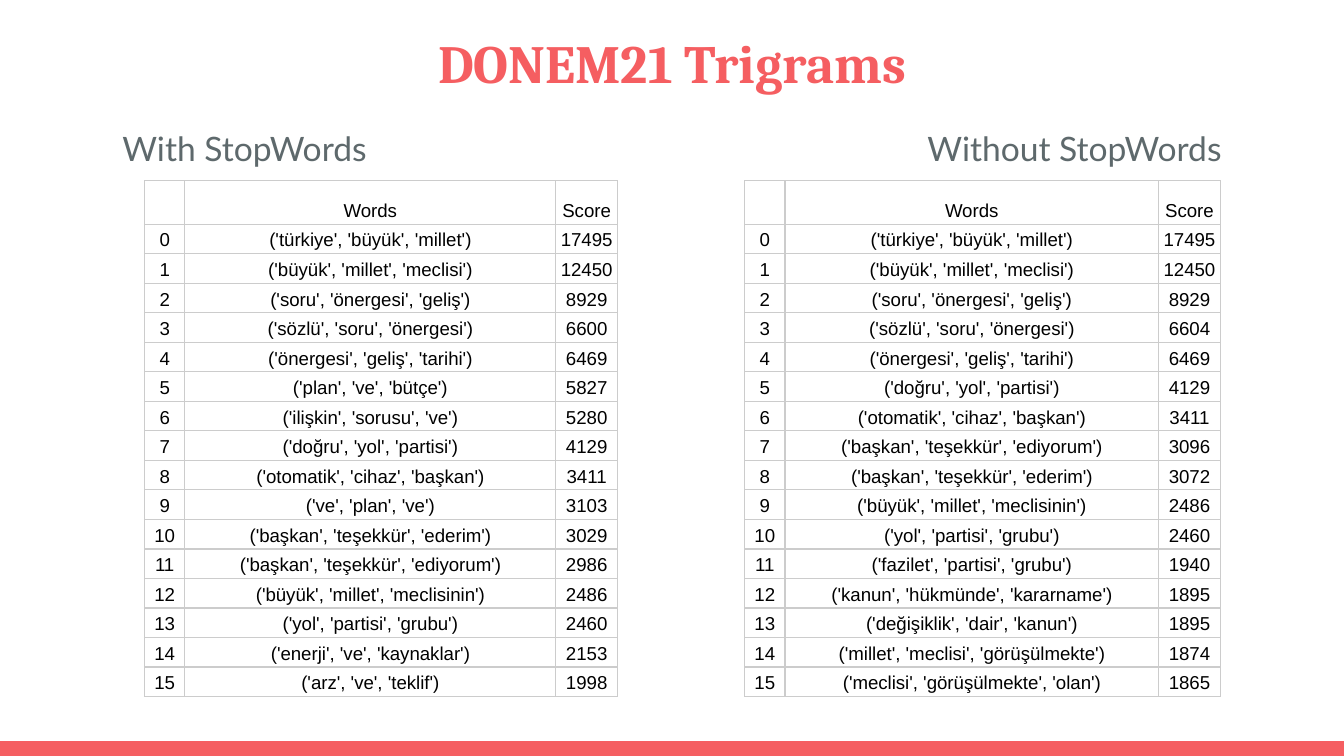
from dataclasses import dataclass

from lxml import etree
from pptx import Presentation
from pptx import util as u
from pptx.dml.color import RGBColor
from pptx.enum import shapes, text
from pptx.oxml import ns

# Page grid: 100 columns of a tenth of an inch, rows of the same size
COLUMNS, ROWS = 100, 56.25
CORAL, SLATE, BLACK, GREY = "F55E61", "5E696C", "000000", "CCCCCC"
HEADER_ROW, BODY_ROW = 3.23, 2.2
TABLE_TOP = 13.45
HEADING_INDENT, HEADING_SPAN = 5.7, 81.8


@dataclass
class Box:
    left: float
    top: float
    width: float
    height: float


@dataclass
class Ranking:
    heading: str
    left: float
    widths: tuple[float, float, float]
    trigrams: list[tuple[str, int]]


RANKINGS = [
    Ranking("With StopWords", 10.75, (3, 27.6, 4.6), [
        ("türkiye büyük millet", 17495),
        ("büyük millet meclisi", 12450),
        ("soru önergesi geliş", 8929),
        ("sözlü soru önergesi", 6600),
        ("önergesi geliş tarihi", 6469),
        ("plan ve bütçe", 5827),
        ("ilişkin sorusu ve", 5280),
        ("doğru yol partisi", 4129),
        ("otomatik cihaz başkan", 3411),
        ("ve plan ve", 3103),
        ("başkan teşekkür ederim", 3029),
        ("başkan teşekkür ediyorum", 2986),
        ("büyük millet meclisinin", 2486),
        ("yol partisi grubu", 2460),
        ("enerji ve kaynaklar", 2153),
        ("arz ve teklif", 1998),
    ]),
    Ranking("Without StopWords", 55.4, (3, 27.8, 4.6), [
        ("türkiye büyük millet", 17495),
        ("büyük millet meclisi", 12450),
        ("soru önergesi geliş", 8929),
        ("sözlü soru önergesi", 6604),
        ("önergesi geliş tarihi", 6469),
        ("doğru yol partisi", 4129),
        ("otomatik cihaz başkan", 3411),
        ("başkan teşekkür ediyorum", 3096),
        ("başkan teşekkür ederim", 3072),
        ("büyük millet meclisinin", 2486),
        ("yol partisi grubu", 2460),
        ("fazilet partisi grubu", 1940),
        ("kanun hükmünde kararname", 1895),
        ("değişiklik dair kanun", 1895),
        ("millet meclisi görüşülmekte", 1874),
        ("meclisi görüşülmekte olan", 1865),
    ]),
]


def grid(units: float) -> u.Length:
    return u.Inches(units / 10)


def place(box: Box) -> tuple[u.Length, ...]:
    return grid(box.left), grid(box.top), grid(box.width), grid(box.height)


def color(value: str) -> RGBColor:
    return RGBColor.from_string(value)


def style(para, font: str, size: float, ink: str, align, bold: bool = False) -> None:
    para.alignment = align
    para.font.name, para.font.size, para.font.bold = font, u.Pt(size), bold
    para.font.color.rgb = color(ink)


def set_insets(frame, left: float = 1) -> None:
    frame.word_wrap = True
    frame.margin_left = grid(left)
    frame.margin_right = frame.margin_top = frame.margin_bottom = grid(1)


def add_borders(cell) -> None:
    properties = cell._tc.get_or_add_tcPr()
    for side in ("lnL", "lnR", "lnT", "lnB"):
        line = etree.SubElement(properties, ns.qn(f"a:{side}"), w=str(u.Pt(0.75)))
        fill = etree.SubElement(line, ns.qn("a:solidFill"))
        etree.SubElement(fill, ns.qn("a:srgbClr"), val=GREY)


def fill_cell(cell, content: str) -> None:
    cell.margin_left = cell.margin_right = grid(0.3)
    cell.margin_top, cell.margin_bottom = 0, grid(0.2)
    cell.vertical_anchor = text.MSO_ANCHOR.BOTTOM
    add_borders(cell)
    cell.fill.background()
    cell.text = content
    para = cell.text_frame.paragraphs[0]
    para.line_spacing = 1.15
    style(para, "Arial", 10, BLACK, text.PP_ALIGN.CENTER)


def add_headings(page, headings: list[str]) -> None:
    frame = page.shapes.add_textbox(*place(Box(3.4, 8.1, 93.2, 5.4))).text_frame
    set_insets(frame, HEADING_INDENT)
    para = frame.paragraphs[0]
    para.text = "\t".join(headings)
    para.line_spacing = 1.15
    style(para, "Lato", 18, SLATE, text.PP_ALIGN.LEFT)
    # A right tab stop lines the second heading up with its table
    stops = etree.Element(ns.qn("a:tabLst"))
    etree.SubElement(stops, ns.qn("a:tab"), pos=str(grid(HEADING_SPAN)), algn="r")
    para._p.pPr.find(ns.qn("a:defRPr")).addprevious(stops)


def add_ranking(page, ranking: Ranking) -> None:
    records = [("", "Words", "Score")]
    for rank, (words, score) in enumerate(ranking.trigrams):
        quoted = ", ".join(f"'{word}'" for word in words.split())
        records.append((str(rank), f"({quoted})", str(score)))

    height = HEADER_ROW + BODY_ROW * len(ranking.trigrams)
    box = Box(ranking.left, TABLE_TOP, sum(ranking.widths), height)
    table = page.shapes.add_table(len(records), len(ranking.widths), *place(box)).table
    table.first_row = table.horz_banding = False
    for column, width in zip(table.columns, ranking.widths):
        column.width = grid(width)
    for index, record in enumerate(records):
        table.rows[index].height = grid(BODY_ROW if index else HEADER_ROW)
        for cell, content in zip(table.rows[index].cells, record):
            fill_cell(cell, content)


def main() -> None:
    deck = Presentation()
    deck.slide_width, deck.slide_height = grid(COLUMNS), grid(ROWS)
    page = deck.slides.add_slide(deck.slide_layouts.get_by_name("Title Only"))

    # Footer band
    band = page.shapes.add_shape(shapes.MSO_SHAPE.RECTANGLE,
                                 *place(Box(0, ROWS - 1.1, COLUMNS, 1.1)))
    band.shadow.inherit = False
    band.fill.solid()
    band.fill.fore_color.rgb = color(CORAL)
    band.line.fill.background()

    # Title
    title = page.shapes.title
    title.left, title.top, title.width, title.height = place(Box(3.4, 1.2, 93.2, 6.8))
    title.text = "DONEM21 Trigrams"
    set_insets(title.text_frame)
    title.text_frame.vertical_anchor = text.MSO_ANCHOR.MIDDLE
    style(title.text_frame.paragraphs[0], "Cambria", 28.8, CORAL,
          text.PP_ALIGN.CENTER, bold=True)

    # Headings and tables, the right-hand table at the back
    add_headings(page, [ranking.heading for ranking in RANKINGS])
    for ranking in reversed(RANKINGS):
        add_ranking(page, ranking)

    deck.save("out.pptx")


if __name__ == "__main__":
    main()
